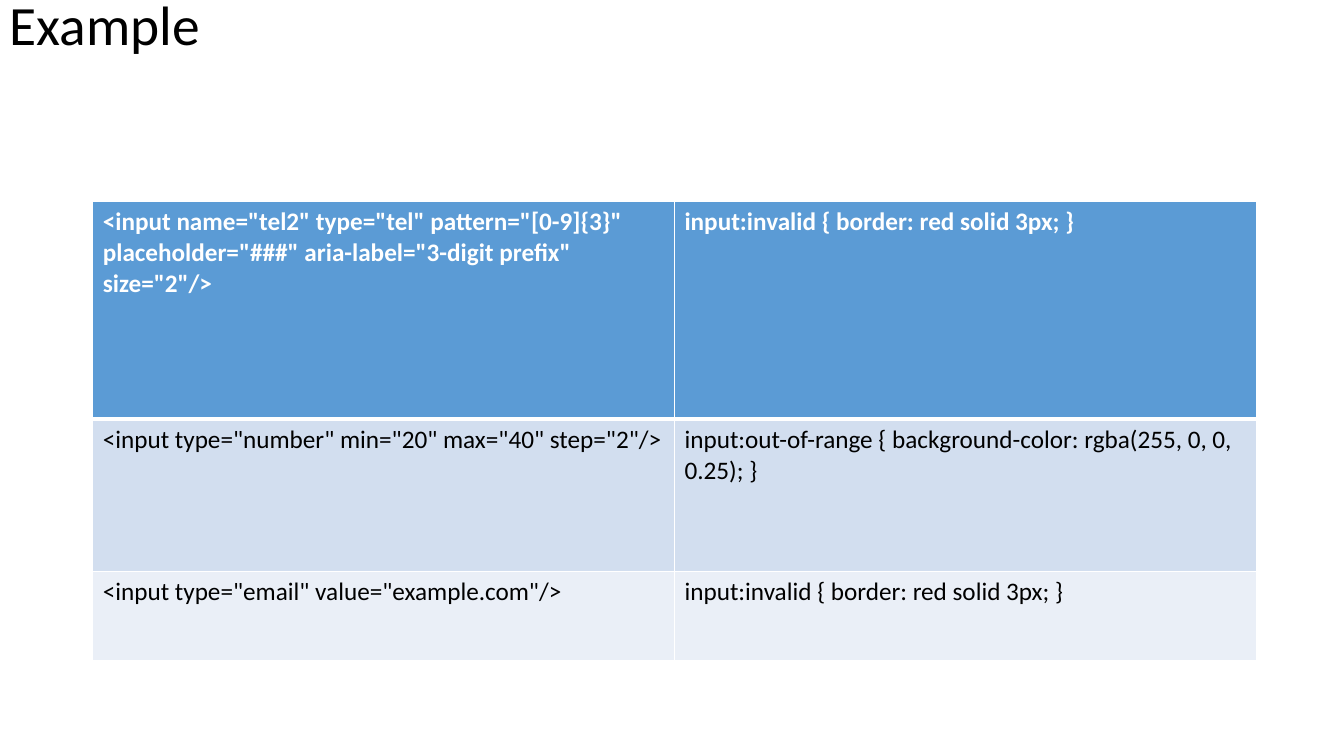
import dataclasses

import lxml.etree
import pptx
import pptx.dml.color
import pptx.enum.text
import pptx.oxml.ns
import pptx.util

Inches = pptx.util.Inches
Pt = pptx.util.Pt


@dataclasses.dataclass(frozen=True)
class Theme:
    font: str = "Calibri"
    title_size: float = 39.6
    code_size: float = 18
    ink: str = "000000"
    paper: str = "FFFFFF"
    header_fill: str = "5B9BD5"
    band_fills: tuple = ("D2DEEF", "EAEFF7")
    rule_width: float = 1
    header_rule_width: float = 3


def rgb(value):
    return pptx.dml.color.RGBColor.from_string(value)


def write_text(frame, text, *, font, size, color, bold=False, line_spacing=None):
    paragraph = frame.paragraphs[0]
    paragraph.line_spacing = line_spacing
    run = paragraph.add_run()
    run.text = text
    run.font.name = font
    run.font.size = Pt(size)
    run.font.bold = bold
    run.font.color.rgb = rgb(color)


def add_border(cell, side, color, width):
    """Draw one cell edge; side is L, R, T or B, called in that order."""
    qn = pptx.oxml.ns.qn
    properties = cell._tc.get_or_add_tcPr()
    edge = lxml.etree.SubElement(properties, qn(f"a:ln{side}"), w=str(Pt(width)))
    fill = lxml.etree.SubElement(edge, qn("a:solidFill"))
    lxml.etree.SubElement(fill, qn("a:srgbClr"), val=color)


class SlideBuilder:
    def __init__(self, slide, theme):
        self.slide = slide
        self.theme = theme

    def title(self, text, left, top, width, height):
        box = self.slide.shapes.add_textbox(
            Inches(left), Inches(top), Inches(width), Inches(height))
        frame = box.text_frame
        frame.word_wrap = True
        frame.vertical_anchor = pptx.enum.text.MSO_ANCHOR.MIDDLE
        write_text(frame, text, font=self.theme.font, size=self.theme.title_size,
                   color=self.theme.ink, line_spacing=0.9)

    def table(self, rows, left, top, column_widths, row_heights):
        table = self.slide.shapes.add_table(
            len(rows), len(column_widths), Inches(left), Inches(top),
            Inches(sum(column_widths)), Inches(sum(row_heights))).table
        for column, width in zip(table.columns, column_widths):
            column.width = Inches(width)
        for row, height in zip(table.rows, row_heights):
            row.height = Inches(height)
        for row_index, texts in enumerate(rows):
            for column_index, text in enumerate(texts):
                self.cell(table.cell(row_index, column_index), text, row_index)

    def cell(self, cell, text, row_index):
        theme = self.theme
        is_header = row_index == 0
        widths = dict.fromkeys("LRTB", theme.rule_width)
        if is_header:
            widths["B"] = theme.header_rule_width
        elif row_index == 1:
            widths["T"] = theme.header_rule_width
        for side, width in widths.items():
            add_border(cell, side, theme.paper, width)
        band = theme.band_fills[(row_index - 1) % len(theme.band_fills)]
        cell.fill.solid()
        cell.fill.fore_color.rgb = rgb(theme.header_fill if is_header else band)
        write_text(cell.text_frame, text, font=theme.font, size=theme.code_size,
                   color=theme.paper if is_header else theme.ink, bold=is_header)


def main():
    presentation = pptx.Presentation()
    presentation.slide_width = Inches(13.33)
    presentation.slide_height = Inches(7.5)
    slide = presentation.slides.add_slide(presentation.slide_layouts[6])
    builder = SlideBuilder(slide, Theme())

    builder.title("Example", 0, 0.14, 11.5, 0.27)
    invalid_rule = "input:invalid { border: red solid 3px; }"
    validation_examples = [
        ('<input name="tel2" type="tel" pattern="[0-9]{3}" placeholder="###" '
         'aria-label="3-digit prefix" size="2"/>', invalid_rule),
        ('<input type="number" min="20" max="40" step="2"/>',
         "input:out-of-range { background-color: rgba(255, 0, 0, 0.25); }"),
        ('<input type="email" value="example.com"/>', invalid_rule),
    ]
    builder.table(validation_examples, 0.92, 2, [5.77, 5.77], [2.16, 1.51, 0.88])
    presentation.save("out.pptx")


if __name__ == "__main__":
    main()
